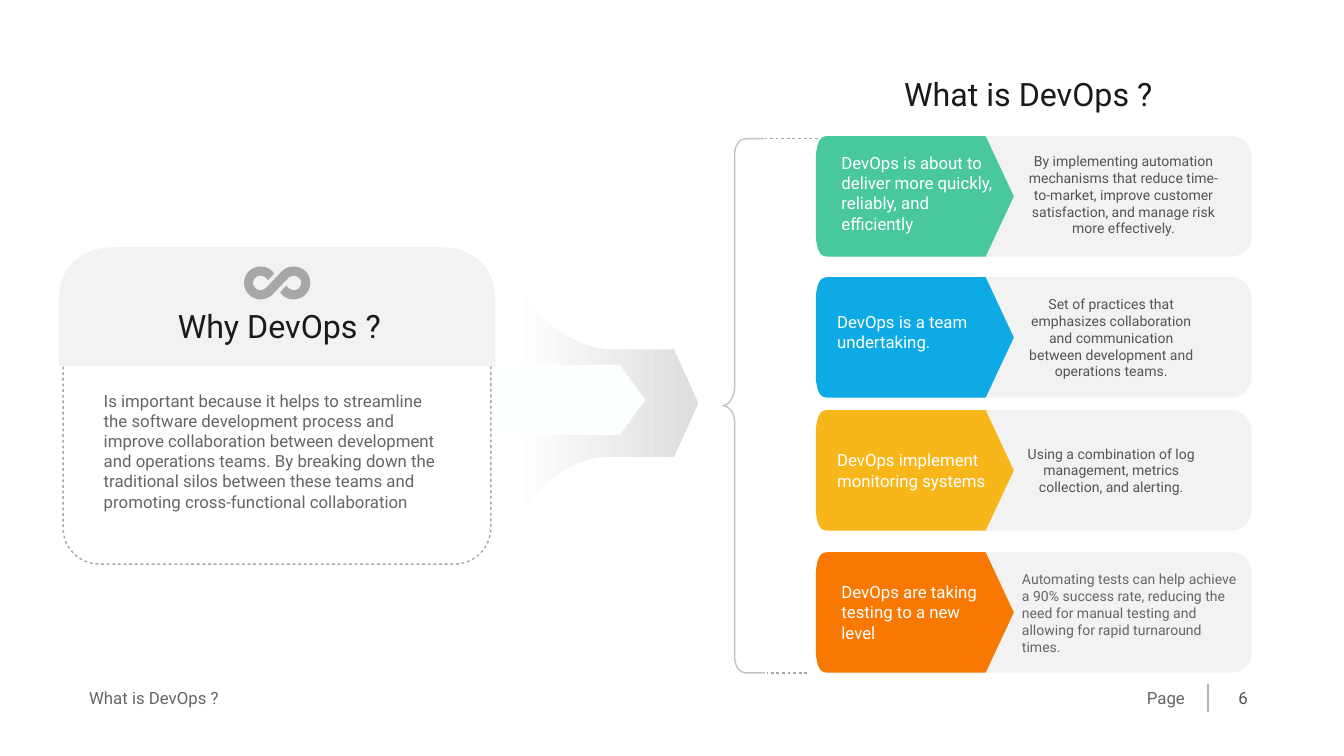
from pptx import Presentation
from pptx.dml.color import RGBColor
from pptx.enum.shapes import MSO_CONNECTOR, MSO_SHAPE
from pptx.enum.text import MSO_ANCHOR as ANCHOR, MSO_AUTO_SIZE, PP_ALIGN as ALIGN
from pptx.oxml.ns import qn
from pptx.util import Cm, Pt
from lxml.etree import SubElement

COLORS = {name: RGBColor.from_string(value) for name, value in {
    "panel": "F2F2F2", "title": "1A1A1A", "body": "656565", "detail": "535353",
    "dash": "A7A7A7", "bracket": "C4C3C0", "divider": "B2B2B2",
    "white": "FFFFFF", "pale": "FCFFFF", "shade": "DDDDDD",
    "green": "4AC89D", "blue": "0EAAE5", "yellow": "F7B61A", "orange": "F87802",
}.items()}

deck = Presentation()
deck.slide_width, deck.slide_height = Cm(67.74), Cm(38.1)
slide = deck.slides.add_slide(deck.slide_layouts[6])
shapes = slide.shapes


def add_outline(left, top, start, segments, closed=True):
    """Segments hold an end point, or two control points and an end point."""
    ends = [start] + [segment[-2:] for segment in segments]
    grid = [((left + x) * 1000, (top + y) * 1000) for x, y in ends]
    builder = shapes.build_freeform(*grid[0], scale=Cm(1) / 1000)
    builder.add_line_segments(grid[1:], close=closed)
    outline = builder.convert_to_shape()
    outline.shadow.inherit = False
    outline.fill.background()
    outline.line.fill.background()
    # Turn the straight steps that have control points into Bézier curves
    min_x, min_y = min(x for x, _ in ends), min(y for _, y in ends)
    for segment, step in zip(segments, list(outline._element.iter(qn("a:lnTo")))):
        if len(segment) == 6:
            step.tag = qn("a:cubicBezTo")
            for index in (0, 1):
                x, y = segment[2 * index:2 * index + 2]
                control = SubElement(step, qn("a:pt"), x=str(round((x - min_x) * 1000)),
                                     y=str(round((y - min_y) * 1000)))
                step.insert(index, control)
    return outline


def add_text(words, left, top, width, height, size, color,
             align=ALIGN.LEFT, anchor=ANCHOR.TOP, outlined=False):
    if outlined:
        box = add_outline(left, top, (0, 0), [(width, 0), (width, height), (0, height)])
    else:
        box = shapes.add_textbox(Cm(left), Cm(top), Cm(width), Cm(height))
    frame = box.text_frame
    frame.word_wrap = True
    frame.auto_size = MSO_AUTO_SIZE.SHAPE_TO_FIT_TEXT
    frame.vertical_anchor = anchor
    frame.margin_left = frame.margin_right = Cm(0.15)
    frame.margin_top = frame.margin_bottom = Cm(0.15)
    frame.text = words
    frame.paragraphs[0].alignment = align
    font = frame.paragraphs[0].runs[0].font
    font.name, font.size, font.color.rgb = "Roboto", Pt(size), COLORS[color]


# Why panel: dashed frame, grey header, infinity sign
why_frame = shapes.add_shape(MSO_SHAPE.ROUNDED_RECTANGLE,
                             Cm(3.18), Cm(12.73), Cm(21.56), Cm(15.7))
why_frame.adjustments[0] = 0.117
why_frame.shadow.inherit = False
why_frame.fill.background()
why_frame.line.color.rgb = COLORS["dash"]
why_frame.line.width = Pt(2)
dashed_parts = [why_frame]

header = add_outline(2.97, 12.45, (3.94, 0), [
    (2.77, 0, 2.08, 0, 1.63, 0.2), (0.97, 0.43, 0.43, 0.94, 0.18, 1.6),
    (0, 2.06, 0, 2.72, 0, 3.86), (0, 5.99), (22, 5.99), (22, 3.86),
    (22, 2.72, 22, 2.06, 21.82, 1.6), (21.57, 0.94, 21.03, 0.43, 20.37, 0.2),
    (19.92, 0, 19.23, 0, 18.06, 0)])
header.fill.solid()
header.fill.fore_color.rgb = COLORS["panel"]

# The second half of the sign is the first turned about its centre
half_loop = [
    (1.67, -0.46, 1.3, -0.83, 0.84, -0.83), (0.61, -0.83, 0.41, -0.75, 0.25, -0.6),
    (-0.58, 0.27), (-0.66, 0.32, -0.74, 0.37, -0.84, 0.37),
    (-1.04, 0.37, -1.22, 0.19, -1.22, 0), (-1.22, -0.19, -1.04, -0.37, -0.84, -0.37),
    (-0.74, -0.37, -0.66, -0.32, -0.58, -0.27), (-0.46, -0.14), (-0.15, -0.47),
    (-0.25, -0.6), (-0.41, -0.75, -0.61, -0.83, -0.84, -0.83),
    (-1.3, -0.83, -1.67, -0.46, -1.67, 0)]
other_half = [tuple(-value for value in segment) for segment in half_loop]
infinity = add_outline(13.97, 14.26, (1.67, 0), half_loop + other_half)
infinity.fill.solid()
infinity.fill.fore_color.rgb = COLORS["dash"]

add_text("Why DevOps ?", 8.81, 15.31, 12.19, 2.26, 46, "title", outlined=True)
add_text("Is important because it helps to streamline the software development process "
         "and improve collaboration between development and operations teams. By breaking "
         "down the traditional silos between these teams and promoting cross-functional "
         "collaboration", 5.08, 19.53, 17.55, 7.47, 24, "body", outlined=True)

# Flared arrow with a pale arrow inside
flare = add_outline(25.86, 20.32, (8.1, 2.69), [
    (9.32, 0), (8.1, -2.69), (4.98, -2.69), (4.04, -2.72, 3.12, -3.05, 2.29, -3.66),
    (1.4, -4.29, 0.61, -5.21, 0, -6.35), (0.03, 6.3),
    (0.64, 5.11, 1.4, 4.17, 2.31, 3.53), (3.15, 2.95, 4.06, 2.67, 4.98, 2.69)])
flare.fill.gradient()
flare.fill.gradient_angle = 0
for stop, shade in zip(flare.fill.gradient_stops, ("white", "shade")):
    stop.color.rgb = COLORS[shade]

inner_arrow = shapes.add_shape(MSO_SHAPE.RIGHT_ARROW, Cm(25.2), Cm(18.39), Cm(7.32), Cm(3.53))
inner_arrow.adjustments[0], inner_arrow.adjustments[1] = 1, 0.36
inner_arrow.shadow.inherit = False
inner_arrow.fill.solid()
inner_arrow.fill.fore_color.rgb = COLORS["pale"]
inner_arrow.line.fill.background()

# Bracket
bracket = add_outline(36.45, 6.99, (2.08, 0), [
    (1.14, 0), (0.99, 0, 0.84, 0.08, 0.74, 0.23), (0.64, 0.36, 0.58, 0.53, 0.58, 0.74),
    (0.58, 12.55), (0.56, 12.75, 0.51, 12.97, 0.41, 13.13),
    (0.3, 13.31, 0.18, 13.44, 0, 13.46), (0.15, 13.46, 0.28, 13.54, 0.38, 13.67),
    (0.51, 13.84, 0.58, 14.1, 0.58, 14.35), (0.58, 26.14),
    (0.58, 26.34, 0.64, 26.54, 0.74, 26.7), (0.84, 26.82, 0.97, 26.92, 1.09, 26.92),
    (2.11, 26.92)], closed=False)
bracket.line.color.rgb = COLORS["bracket"]
bracket.line.width = Pt(2)

# Dashed bracket ends and footer divider
for x1, y1, x2, y2, color, dashed in [
        (41.22, 6.99, 38.56, 6.99, "dash", True),
        (40.69, 33.91, 38.68, 33.91, "dash", True),
        (60.88, 34.49, 60.88, 35.86, "divider", False)]:
    rule = shapes.add_connector(MSO_CONNECTOR.STRAIGHT, Cm(x1), Cm(y1), Cm(x2), Cm(y2))
    rule.line.color.rgb = COLORS[color]
    rule.line.width = Pt(2)
    SubElement(rule._element.spPr, qn("a:effectLst"))
    if dashed:
        dashed_parts.append(rule)

# Dashes and gaps of twice the line width
for part in dashed_parts:
    dashes = SubElement(part._element.spPr.find(qn("a:ln")), qn("a:custDash"))
    SubElement(dashes, qn("a:ds"), d="200000", sp="200000")

# Cards: top, colour, label with its box and colour, detail with its box, colour, alignment
add_text("What is DevOps ?", 45.42, 3.61, 16.05, 2.26, 46, "title", outlined=True)
cards = [
    (6.86, "green", "DevOps is about to deliver more quickly, reliably, and efficiently",
     (42.26, 7.54, 8.13, 4.39), "white",
     "By implementing automation mechanisms that reduce time-to-market, improve customer "
     "satisfaction, and manage risk more effectively.",
     (51.64, 7.11, 9.98, 5.41), "detail", ALIGN.CENTER),
    (13.97, "blue", "DevOps is a team undertaking.",
     (42.04, 15.57, 8.13, 2.34), "pale",
     "Set of practices that emphasizes collaboration and communication between "
     "development and operations teams.",
     (51.36, 14.73, 9.3, 4.57), "detail", ALIGN.CENTER),
    (20.67, "yellow", "DevOps implement monitoring systems",
     (42.04, 22.53, 8.13, 2.34), "pale",
     "Using a combination of log management, metrics collection, and alerting.",
     (51.36, 22.28, 9.3, 2.84), "detail", ALIGN.CENTER),
    (27.83, "orange", "DevOps are taking testing to a new level",
     (42.26, 29.18, 8.13, 3.35), "white",
     "Automating tests can help achieve a 90% success rate, reducing the need for manual "
     "testing and allowing for rapid turnaround times.",
     (51.36, 28.6, 11.15, 4.57), "body", ALIGN.LEFT),
]
for (top, tab_color, label, label_box, label_color,
     detail, detail_box, detail_color, align) in cards:
    card = shapes.add_shape(MSO_SHAPE.ROUNDED_RECTANGLE, Cm(41.12), Cm(top), Cm(21.95), Cm(6.07))
    card.adjustments[0] = 0.165
    card.shadow.inherit = False
    card.fill.solid()
    card.fill.fore_color.rgb = COLORS["panel"]
    card.line.fill.background()
    tab = add_outline(41.12, top, (0.74, 0), [
        (0.51, 0, 0.38, 0, 0.3, 0.08), (0.18, 0.18, 0.08, 0.38, 0.05, 0.64),
        (0, 0.81, 0, 1.07, 0, 1.52), (0, 4.55), (0, 5, 0, 5.26, 0.05, 5.43),
        (0.08, 5.69, 0.18, 5.89, 0.3, 5.99), (0.38, 6.07, 0.51, 6.07, 0.74, 6.07),
        (8.56, 6.07), (9.98, 3.04), (8.56, 0)])
    tab.fill.solid()
    tab.fill.fore_color.rgb = COLORS[tab_color]
    add_text(label, *label_box, 24, label_color, anchor=ANCHOR.MIDDLE)
    add_text(detail, *detail_box, 20, detail_color, align, ANCHOR.MIDDLE)

# Footer
add_text("What is DevOps ?", 4.34, 34.49, 7.75, 1.32, 24, "body")
add_text("Page", 48.74, 34.49, 11.13, 1.32, 24, "body", ALIGN.RIGHT)
add_text("6", 61.29, 34.49, 2.72, 1.37, 24, "detail", ALIGN.CENTER)

deck.save("out.pptx")
